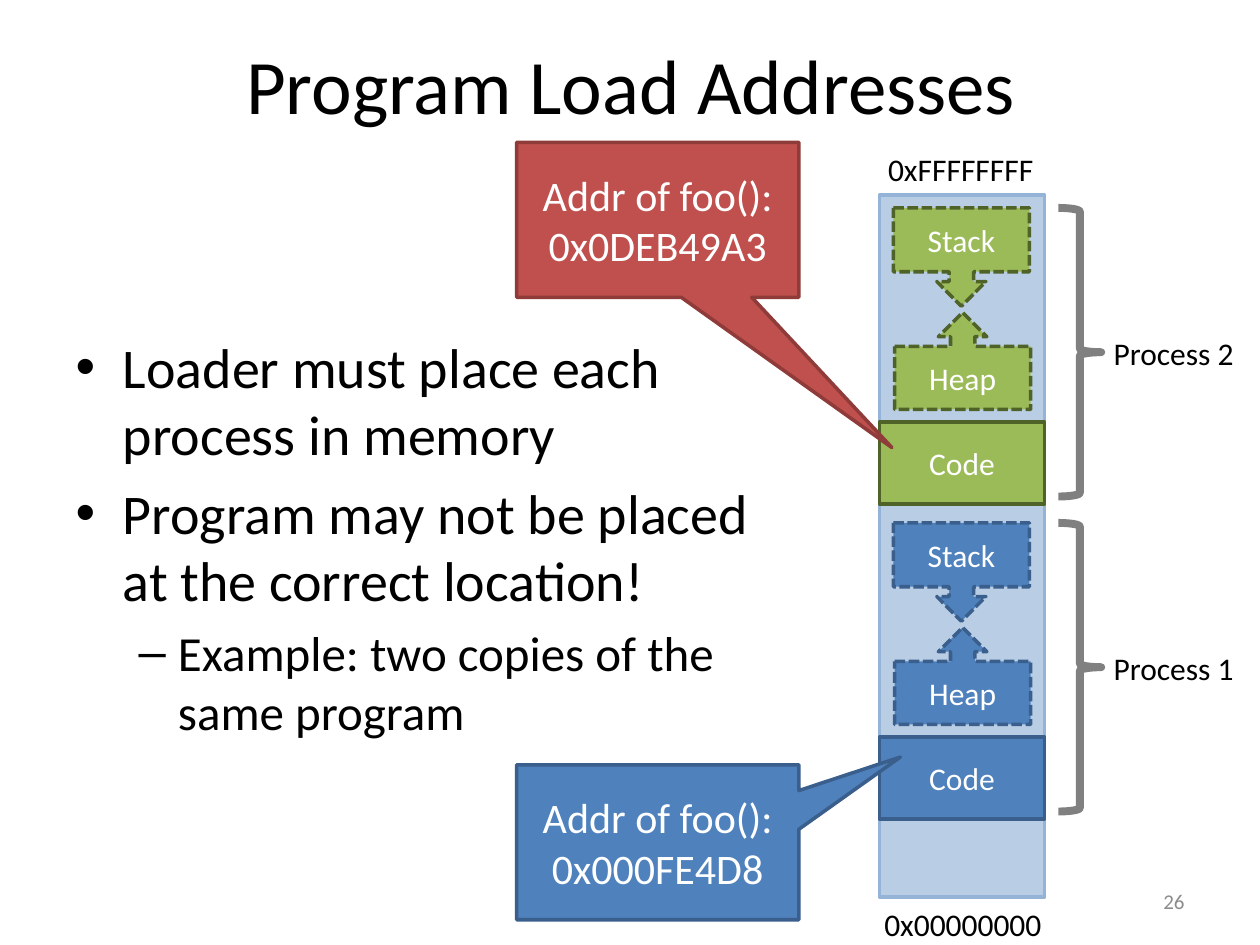
from dataclasses import dataclass

from pptx import Presentation
from pptx.dml.color import RGBColor
from pptx.enum.dml import MSO_LINE
from pptx.enum.shapes import MSO_SHAPE
from pptx.enum.text import MSO_ANCHOR, MSO_AUTO_SIZE, PP_ALIGN
from pptx.util import Inches, Pt


@dataclass(frozen=True)
class Theme:
    """Colours as (fill, line) pairs or single values, and sizes in points."""
    font: str = "Calibri"
    black: str = "000000"
    white: str = "FFFFFF"
    grey: str = "8C8C8C"
    brace: str = "808080"
    memory: tuple = ("B9CDE5", "95B3D7")
    blue: tuple = ("4F81BD", "3A5F8C")
    green: tuple = ("9BBB59", "4F6228")
    red: tuple = ("C0504D", "8E3B39")
    title: int = 44
    bullets: tuple = (32, 28)
    callout: int = 24
    label: int = 18
    number: int = 12
    outline: float = 2
    brace_line: float = 4.5


THEME = Theme()


def write(p, text, size=THEME.label, color=THEME.black, align=None):
    """Add a formatted run to a paragraph."""
    p.alignment = align
    r = p.add_run()
    r.text = text
    r.font.name = THEME.font
    r.font.size = Pt(size)
    r.font.color.rgb = RGBColor.from_string(color)


def place(sp, box):
    """Move a shape to a left, top, width, height box in inches."""
    sp.left, sp.top, sp.width, sp.height = map(Inches, box)


def add_label(shapes, box, text, wrap=False, anchor=MSO_ANCHOR.TOP, **fmt):
    """Add a text box with one formatted line."""
    tf = shapes.add_textbox(*map(Inches, box)).text_frame
    tf.word_wrap = wrap
    tf.vertical_anchor = anchor
    write(tf.paragraphs[0], text, **fmt)


def add_block(shapes, kind, box, colors, text="", size=THEME.label, dash=None):
    """Add a filled, outlined shape with centred white text."""
    sp = shapes.add_shape(kind, *map(Inches, box))
    sp.shadow.inherit = False
    fill, line = colors
    sp.fill.solid()
    sp.fill.fore_color.rgb = RGBColor.from_string(fill)
    sp.line.color.rgb = RGBColor.from_string(line)
    sp.line.width = Pt(THEME.outline)
    if dash:
        sp.line.dash_style = dash
    if text:
        tf = sp.text_frame
        tf.word_wrap = True
        tf.vertical_anchor = MSO_ANCHOR.MIDDLE
        write(tf.paragraphs[0], text, size=size, color=THEME.white,
              align=PP_ALIGN.CENTER)
    return sp


def add_title(s, box, text):
    """Fill the title placeholder."""
    place(s.shapes.title, box)
    tf = s.shapes.title.text_frame
    tf.auto_size = MSO_AUTO_SIZE.NONE
    tf.vertical_anchor = MSO_ANCHOR.MIDDLE
    write(tf.paragraphs[0], text, size=THEME.title, align=PP_ALIGN.CENTER)


def add_bullets(s, box, items):
    """Fill the body placeholder with (level, text) items."""
    body = s.placeholders[1]
    place(body, box)
    tf = body.text_frame
    tf.auto_size = MSO_AUTO_SIZE.NONE
    for i, (level, text) in enumerate(items):
        p = tf.add_paragraph() if i else tf.paragraphs[0]
        p.level = level
        write(p, text, size=THEME.bullets[level])


def add_memory(s, box):
    """Draw the address space with its top and bottom addresses."""
    x, y, w, h = box
    add_block(s.shapes, MSO_SHAPE.RECTANGLE, box, THEME.memory)
    add_label(s.shapes, (x - 0.03, y - 0.41, 1.36, 0.4), "0xFFFFFFFF")
    add_label(s.shapes, (x - 0.06, y + h + 0.01, 1.46, 0.4), "0x00000000")


def add_process(s, box, name, colors):
    """Draw one process: stack, heap, code, brace and name."""
    x, y, w, h = box
    shapes = s.shapes.add_group_shape().shapes
    add_block(shapes, MSO_SHAPE.RECTANGLE, (x, y + 1.7, w, 0.65), colors, "Code")
    add_block(shapes, MSO_SHAPE.UP_ARROW_CALLOUT, (x + 0.12, y + 0.83, 1.08, 0.77),
              colors, "Heap", dash=MSO_LINE.SQUARE_DOT)
    add_block(shapes, MSO_SHAPE.DOWN_ARROW_CALLOUT, (x + 0.11, y, 1.08, 0.78),
              colors, "Stack", dash=MSO_LINE.SQUARE_DOT)
    brace = add_block(shapes, MSO_SHAPE.LEFT_BRACE, (x + w + 0.11, y, 0.34, h),
                      (THEME.brace, THEME.brace))
    brace.fill.background()
    brace.line.width = Pt(THEME.brace_line)
    brace.rotation = 180
    add_label(shapes, (x + w + 0.45, y + 0.95, 1.16, 0.4), name)


def add_callout(s, box, address, colors, tip):
    """Draw an address callout whose tip is relative to its centre."""
    sp = add_block(s.shapes, MSO_SHAPE.RECTANGULAR_CALLOUT, box, colors,
                   f"Addr of foo(): {address}", size=THEME.callout)
    sp.adjustments[0], sp.adjustments[1] = tip


def main():
    """Build and save the slide."""
    prs = Presentation()
    prs.slide_width, prs.slide_height = Inches(10), Inches(7.5)
    s = prs.slides.add_slide(prs.slide_layouts[1])
    x, w = 6.98, 1.31
    add_memory(s, (x, 1.55, w, 5.57))
    add_title(s, (0.51, 0.04, 9, 1.25), "Program Load Addresses")
    add_bullets(s, (0.5, 2.59, 5.96, 4.11), [
        (0, "Loader must place each process in memory"),
        (0, "Program may not be placed at the correct location!"),
        (1, "Example: two copies of the same program"),
    ])
    add_label(s.shapes, (7.17, 6.95, 2.33, 0.4), "26", wrap=True,
              anchor=MSO_ANCHOR.MIDDLE, size=THEME.number, color=THEME.grey,
              align=PP_ALIGN.RIGHT)
    add_process(s, (x, 4.15, w, 2.29), "Process 1", THEME.blue)
    add_process(s, (x, 1.65, w, 2.29), "Process 2", THEME.green)
    add_callout(s, (4.1, 6.07, 2.24, 1.23), "0x000FE4D8", THEME.blue, (0.86, -0.55))
    add_callout(s, (4.1, 1.13, 2.24, 1.23), "0x0DEB49A3", THEME.red, (0.83, 1.47))
    prs.save("out.pptx")


if __name__ == "__main__":
    main()
